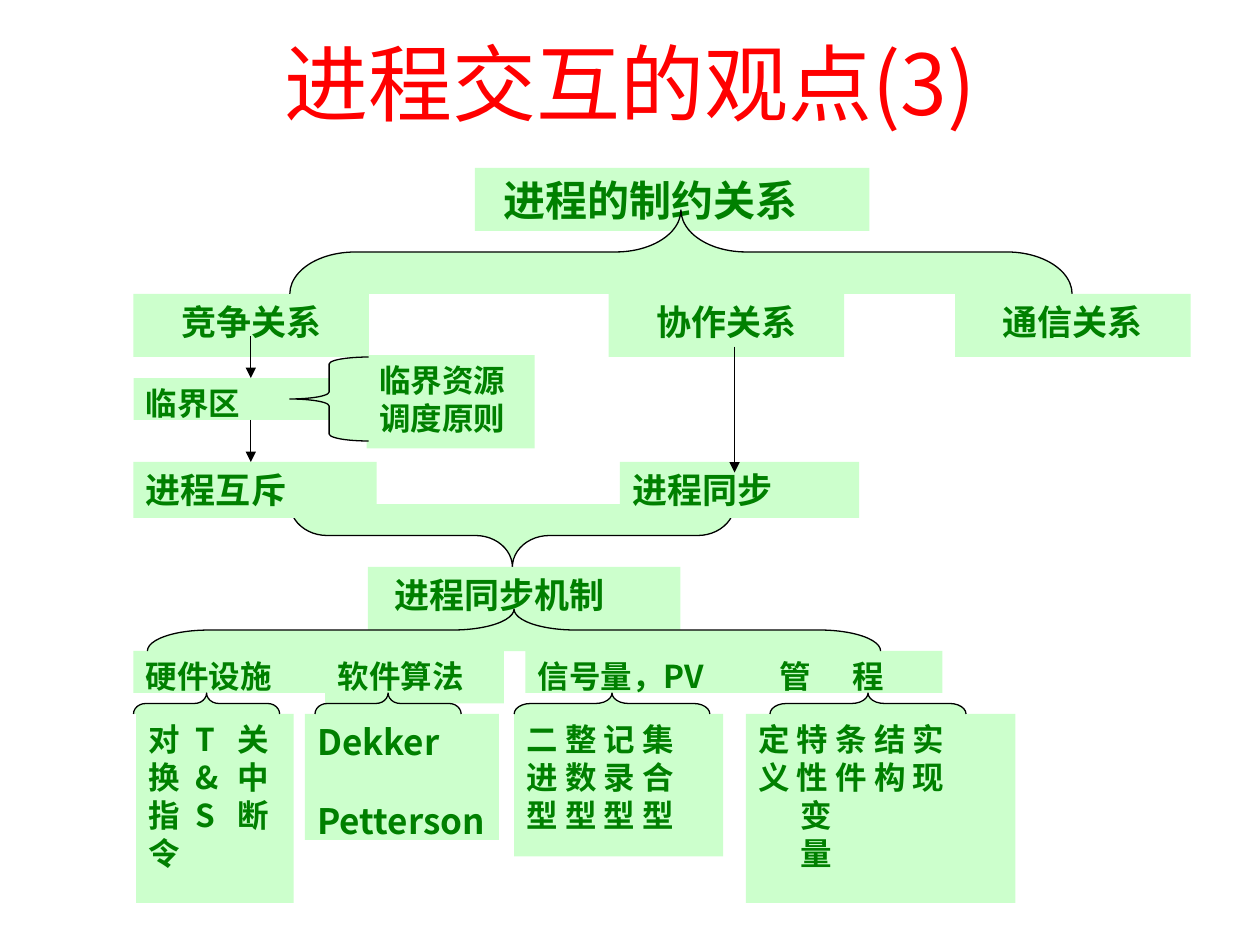
import pptx
import pptx.util
import pptx.dml.color
import pptx.enum.shapes
import pptx.enum.text
import pptx.oxml
import pptx.oxml.ns

Pt = pptx.util.Pt
ALIGN = pptx.enum.text.PP_ALIGN
KIND = pptx.enum.shapes.MSO_SHAPE
qn = pptx.oxml.ns.qn

RED = pptx.dml.color.RGBColor(0xFF, 0x00, 0x00)
GREEN = pptx.dml.color.RGBColor(0x00, 0x80, 0x00)
PALE_GREEN = pptx.dml.color.RGBColor(0xCC, 0xFF, 0xCC)
BLACK = pptx.dml.color.RGBColor(0x00, 0x00, 0x00)
FONT = "Noto Sans CJK SC"

deck = pptx.Presentation()
deck.slide_width, deck.slide_height = Pt(720), Pt(540)
slide = deck.slides.add_slide(deck.slide_layouts[6])


def write(paragraph, text, size, color, bold, align, indent=0, tabs=()):
    properties = paragraph._p.get_or_add_pPr()
    if indent:
        properties.set("marL", str(Pt(indent)))
    if tabs:
        stops = pptx.oxml.ns.nsdecls("a")
        marks = "".join(f'<a:tab pos="{Pt(tab)}" algn="l"/>' for tab in tabs)
        properties.append(pptx.oxml.parse_xml(f"<a:tabLst {stops}>{marks}</a:tabLst>"))
    paragraph.alignment = align
    run = paragraph.add_run()
    run.text = text
    run.font.size, run.font.bold, run.font.name = Pt(size), bold, FONT
    run.font.color.rgb = color
    east_asian = run._r.get_or_add_rPr().makeelement(qn("a:ea"), {"typeface": FONT})
    run.font._element.find(qn("a:latin")).addnext(east_asian)


def add_brace(left, top, width, height, rotation):
    # A turned brace is placed by its unturned frame, about the same centre
    depth, span = (height, width) if rotation else (width, height)
    brace = slide.shapes.add_shape(
        KIND.LEFT_BRACE,
        Pt(left + (width - depth) / 2), Pt(top + (height - span) / 2),
        Pt(depth), Pt(span))
    brace.rotation = rotation
    brace.adjustments[0] = span / 12 / min(depth, span)
    brace.shadow.inherit = False
    brace.fill.solid()
    brace.fill.fore_color.rgb = PALE_GREEN
    brace.line.color.rgb = BLACK
    brace.line.width = Pt(0.75)


# Title
title = slide.shapes.add_textbox(Pt(54), Pt(15), Pt(612), Pt(63.5)).text_frame
title.word_wrap = True
title.vertical_anchor = pptx.enum.text.MSO_ANCHOR.MIDDLE
write(title.paragraphs[0], "进程交互的观点(3)", 48, RED, False, ALIGN.CENTER)

# Boxes: left, top, width, height, size, alignment, lines, indents, tabs
J, C, L = ALIGN.JUSTIFY, ALIGN.CENTER, ALIGN.LEFT
root = (271.4, 96, 225.4, 36, 24, J, ["进程的制约关系"], [9], ())
concepts = [
    (209.5, 203, 96, 53.3, 18, J, ["临界资源", "调度原则"], [0, 0], ()),
    (76.3, 168, 134.6, 36, 20, C, ["竞争关系"], [0], ()),
    (347.8, 168, 134.6, 36, 20, C, ["协作关系"], [0], ()),
    (545.8, 168, 134.6, 36, 20, C, ["通信关系"], [0], ()),
    (76.3, 216, 111.6, 24, 18, J, ["临界区"], [0], ()),
    (76.3, 264, 139, 32, 20, J, ["进程互斥"], [0], ()),
    (354.2, 264, 136.8, 32, 20, J, ["进程同步"], [0], ()),
    (210.2, 324, 178.6, 36, 20, J, ["进程同步机制"], [8], ()),
    (76.3, 372, 134.6, 24, 18, J, ["硬件设施"], [0], ()),
    (185.8, 372, 102.2, 30, 18, J, ["软件算法"], [0], ()),
    (300.2, 372, 129.6, 24, 18, J, ["信号量，PV"], [0], ()),
    (426.2, 372, 112.3, 24, 18, J, ["管\t程"], [12], (42,)),
    (77.8, 408, 90, 108, 18, J,
     ["对\tT\t关", "换\t&\t中", "指\tS\t断", "令"], [0] * 4, (27, 51)),
    (174.2, 408, 110.9, 72, 20, J, ["Dekker", "Petterson"], [0, 0], ()),
    (293.8, 408, 119.5, 81.4, 18, L,
     ["二 整 记 集", "进 数 录 合", "型 型 型 型"], [0] * 3, ()),
    (426.2, 408, 154.1, 108, 18, L,
     ["定 特 条 结 实", "义 性 件 构 现", "变", "量"], [0, 0, 24, 24], ()),
]
for position, concept in enumerate([root] + concepts):
    left, top, width, height, size, align, lines, indents, tabs = concept
    box = slide.shapes.add_shape(KIND.RECTANGLE, Pt(left), Pt(top), Pt(width), Pt(height))
    box.shadow.inherit = False
    box.fill.solid()
    box.fill.fore_color.rgb = PALE_GREEN
    box.line.fill.background()
    frame = box.text_frame
    frame.word_wrap = True
    frame.vertical_anchor = pptx.enum.text.MSO_ANCHOR.TOP
    for number, (line, indent) in enumerate(zip(lines, indents)):
        paragraph = frame.add_paragraph() if number else frame.paragraphs[0]
        write(paragraph, line, size, GREEN, True, align, indent, tabs)
        if line == "Petterson":
            paragraph.space_before = Pt(21.6)
    # These two braces lie above the root box and below all the others
    if position == 0:
        add_brace(165.6, 120, 447, 48, 90)
        add_brace(165.8, 288, 254, 36, 270)

# Braces for the critical section, the mechanisms and their details
add_brace(165.6, 204, 45, 48, 0)
add_brace(84.2, 348, 419, 24, 90)
for left, span in [(76.3, 83.5), (180, 83.5), (293.8, 111.8), (440, 112)]:
    add_brace(left, 396, span, 12, 90)

# Arrows
for x, start, end in [(143.3, 192, 216), (143.3, 240, 264), (419.8, 198, 270)]:
    arrow = slide.shapes.add_connector(
        pptx.enum.shapes.MSO_CONNECTOR.STRAIGHT, Pt(x), Pt(start), Pt(x), Pt(end))
    arrow.line.color.rgb = BLACK
    arrow.line.width = Pt(0.75)
    outline = arrow.line._get_or_add_ln()
    outline.append(outline.makeelement(qn("a:tailEnd"), {"type": "triangle"}))
    outline.addnext(outline.makeelement(qn("a:effectLst"), {}))

deck.save("out.pptx")
